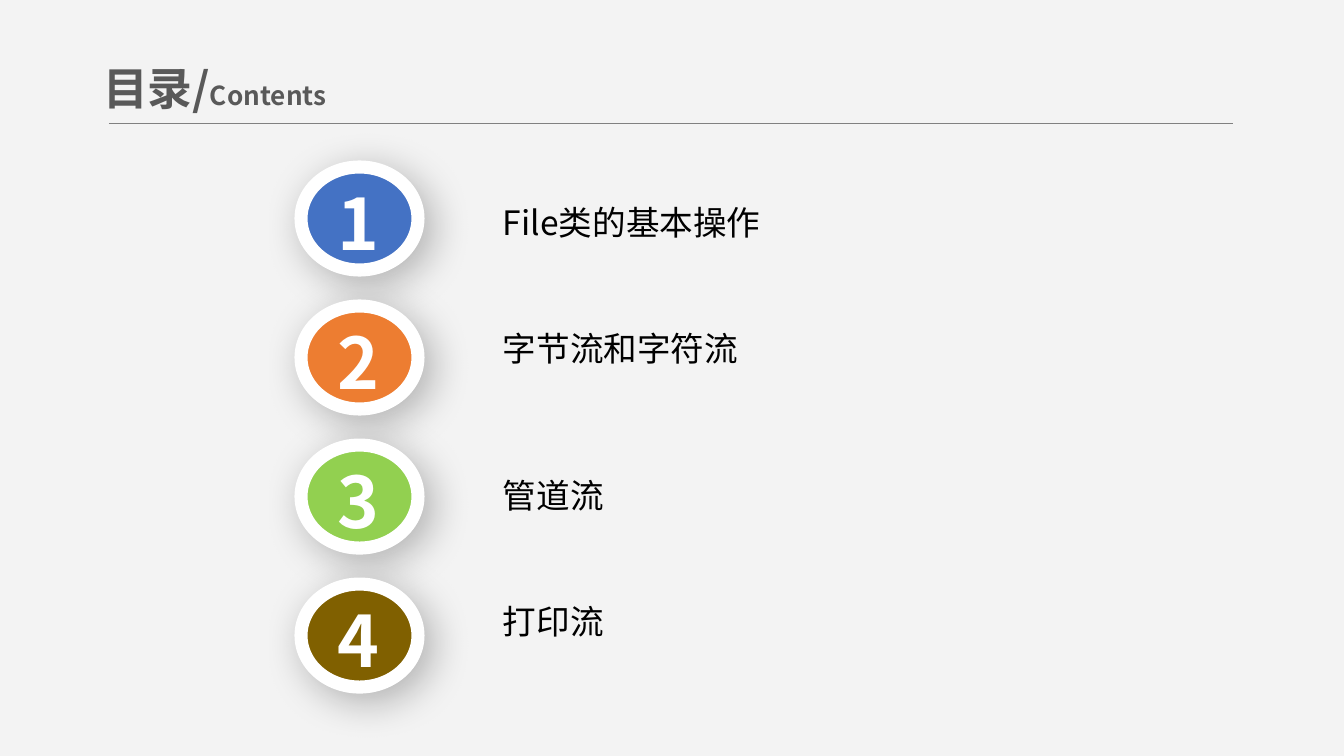
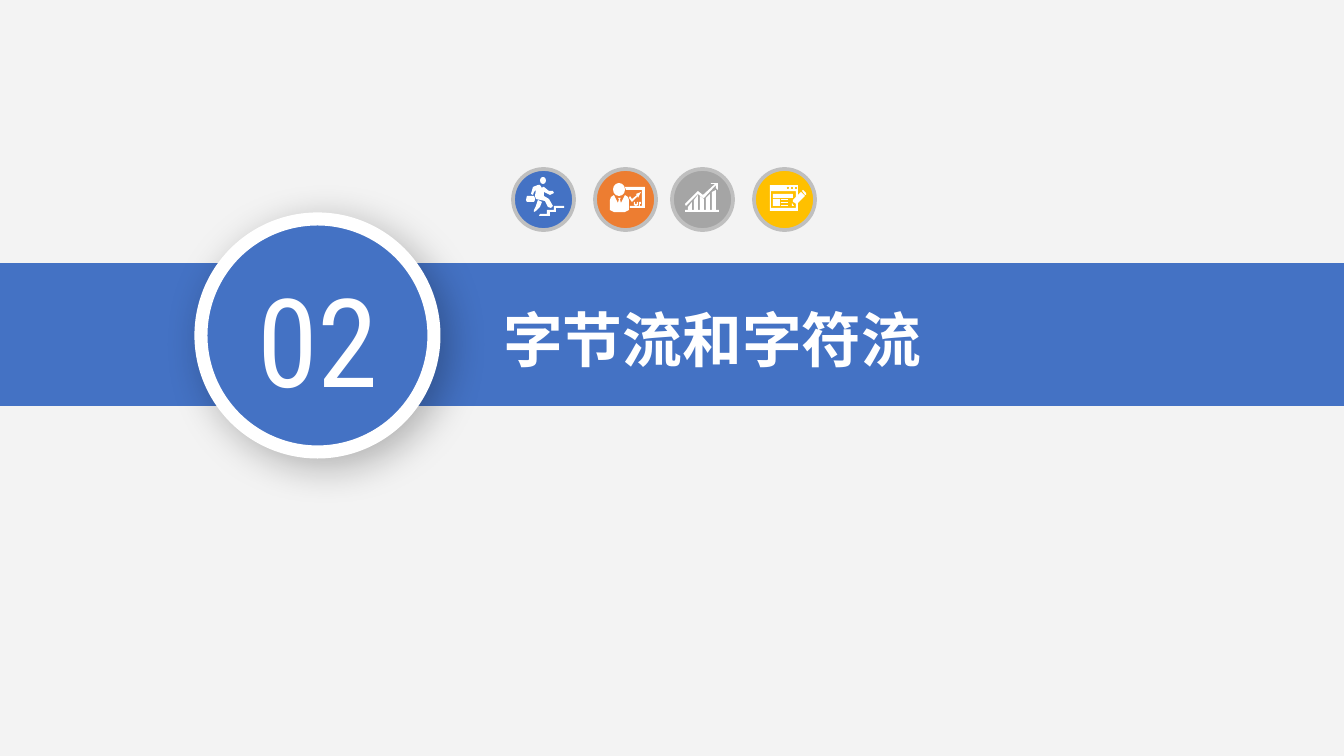
import pptx
import pptx.util
import pptx.dml.color
import pptx.enum.shapes
import pptx.enum.text
import pptx.oxml.ns
from lxml import etree

PX = 6804  # EMU in one px
SANS = "Noto Sans CJK SC"
BLUE, ORANGE, GREEN, BROWN = "4472C4", "ED7D31", "92D050", "806000"
GREY, YELLOW, WHITE, BLACK = "A5A5A5", "FFC000", "FFFFFF", "000000"
RING, TITLE_GREY, RULE_GREY, PAPER = "BFBFBF", "595959", "808080", "F3F3F3"
OVAL = pptx.enum.shapes.MSO_SHAPE.OVAL
RECT = pptx.enum.shapes.MSO_SHAPE.RECTANGLE
LEFT = pptx.enum.text.PP_ALIGN.LEFT
CENTER = pptx.enum.text.PP_ALIGN.CENTER
TOP = pptx.enum.text.MSO_ANCHOR.TOP
MIDDLE = pptx.enum.text.MSO_ANCHOR.MIDDLE
rgb = pptx.dml.color.RGBColor.from_string
qn = pptx.oxml.ns.qn


def paint(sp, fill, line=None, width=0, shadow=False):
    """Fill and outline a shape, with a soft shadow if asked for."""
    sp.fill.solid()
    sp.fill.fore_color.rgb = rgb(fill)
    if line:
        sp.line.color.rgb = rgb(line)
        sp.line.width = pptx.util.Pt(width)
    else:
        sp.line.fill.background()
    sp.shadow.inherit = False
    if shadow:
        effects = sp._element.spPr.find(qn("a:effectLst"))
        outer = etree.SubElement(effects, qn("a:outerShdw"), blurRad="279400",
                                 dist="76200", dir="2700000", algn="tl", rotWithShape="0")
        color = etree.SubElement(outer, qn("a:srgbClr"), val=BLACK)
        etree.SubElement(color, qn("a:alpha"), val="28000")


def write(sp, box, texts, size, color, bold=False, font=SANS, align=LEFT,
          anchor=TOP, inset=(13, 7)):
    """Place a text shape and set its single paragraph."""
    sp.left, sp.top, sp.width, sp.height = [v * PX for v in box]
    tf = sp.text_frame
    tf.word_wrap = True
    tf.auto_size = pptx.enum.text.MSO_AUTO_SIZE.NONE
    tf.vertical_anchor = anchor
    tf.margin_left = tf.margin_right = inset[0] * PX
    tf.margin_top = tf.margin_bottom = inset[1] * PX
    p = tf.paragraphs[0]
    p.alignment = align
    for text in texts:
        p.add_run().text = text
    p.font.size = pptx.util.Pt(size)
    p.font.bold = bold
    p.font.color.rgb = rgb(color)
    p.font.name = font
    etree.SubElement(p.font._element, qn("a:ea"), typeface=font)
    return p


prs = pptx.Presentation()
prs.slide_width, prs.slide_height = 1344 * PX, 756 * PX
paper = prs.slide_master.background.fill
paper.solid()
paper.fore_color.rgb = rgb(PAPER)
title_only = prs.slide_layouts[5]

# Slide 1: contents
s = prs.slides.add_slide(title_only)
p = write(s.shapes.title, (90, 51, 332, 73), ["目录/", "Contents"], 24, TITLE_GREY,
          bold=True, anchor=MIDDLE)
p.runs[1].font.size = pptx.util.Pt(14)

rule = s.shapes.add_connector(pptx.enum.shapes.MSO_CONNECTOR.STRAIGHT,
                              109 * PX, 124 * PX, 1233 * PX, 124 * PX)
rule.line.color.rgb = rgb(RULE_GREY)
rule.line.width = pptx.util.Pt(0.5)
etree.SubElement(rule._element.spPr, qn("a:effectLst"))

# Numbered badges and their chapters
chapters = [
    ("File类的基本操作", BLUE, 195),
    ("字节流和字符流", ORANGE, 321),
    ("管道流", GREEN, 468),
    ("打印流", BROWN, 594),
]
for i, (chapter, color, label_top) in enumerate(chapters):
    top = 167 + 139 * i
    badge = s.shapes.add_shape(OVAL, 301 * PX, top * PX, 117 * PX, 103 * PX)
    paint(badge, color, WHITE, 7, shadow=True)
    write(s.shapes.add_textbox(0, 0, 0, 0), (315, top + 7, 87, 97), [str(i + 1)], 38,
          WHITE, bold=True, align=CENTER, inset=(10, 5))
    write(s.shapes.add_textbox(0, 0, 0, 0), (490, label_top, 364, 54), [chapter], 18, BLACK)

# Slide 2: chapter opening
s = prs.slides.add_slide(title_only)
band = s.shapes.add_shape(RECT, 0, 263 * PX, 1344 * PX, 143 * PX)
paint(band, BLUE)
title = s.shapes.title
write(title, (490, 296, 530, 86), ["字节流和字符流"], 32, WHITE, bold=True)
band._element.addnext(title._element)

# Icon discs
for left, color in [(513, BLUE), (595, ORANGE), (672, GREY), (754, YELLOW)]:
    disc = s.shapes.add_shape(OVAL, left * PX, 169 * PX, 61 * PX, 61 * PX)
    paint(disc, color, RING, 2)

# Icon outlines, each a list of contours
stairs = [[(540, 214), (547, 214), (547, 210), (554, 210), (554, 206), (564, 206),
           (564, 208), (556, 208), (556, 212), (550, 212), (550, 216), (539, 216)]]
runner = [
    [(527, 202), (534, 202), (535, 200), (535, 198), (534, 196), (527, 196), (526, 200)],
    [(534, 210), (536, 206), (538, 200), (542, 202), (540, 207), (536, 211), (534, 212)],
    [(543, 187), (544, 187), (549, 191), (553, 191), (554, 193), (550, 195), (544, 192),
     (544, 196), (549, 199), (553, 206), (551, 208), (548, 207), (545, 201), (536, 199),
     (535, 196), (536, 190), (534, 192), (533, 195), (531, 194), (533, 187), (538, 185),
     (540, 185), (542, 188)],
]
board = [[(625, 187), (645, 187), (645, 208), (630, 208), (630, 206), (642, 206),
          (642, 190), (626, 190)]]
board_arrow = [[(630, 196), (629, 198), (632, 202), (638, 196), (638, 198), (641, 192),
                (636, 194), (637, 195), (632, 199)]]
speaker = [[(625, 195), (621, 203), (620, 199), (621, 198), (618, 198), (619, 199),
            (618, 203), (614, 195), (611, 197), (610, 200), (610, 210), (614, 212),
            (625, 212), (629, 210), (629, 200), (628, 197)]]
board_marks = [
    [(634, 202), (634, 205), (636, 206), (638, 205), (638, 202), (637, 202), (637, 204),
     (635, 204), (635, 202)],
    [(639, 202), (639, 206), (640, 206), (640, 204), (641, 204), (641, 202)],
]
trend = [[(686, 206), (698, 194), (703, 198), (704, 198), (716, 185), (716, 188),
          (718, 190), (718, 183), (711, 183), (711, 184), (715, 184), (703, 195),
          (698, 191), (685, 204)]]
bar_tops = [(207, 202), (200, 195), (196, 199), (198, 194), (192, 190)]
bars = [[(688 + 6 * i, 210), (692 + 6 * i, 210), (692 + 6 * i, right), (688 + 6 * i, left)]
        for i, (left, right) in enumerate(bar_tops)]
window = [
    [(770, 185), (798, 185), (798, 211), (770, 211)],
    [(771, 191), (771, 208), (796, 208), (796, 191)],
]
pencil = [
    [(792, 203), (792, 206), (794, 206)],
    [(802, 191), (803, 190), (806, 193), (806, 195), (805, 195)],
    [(801, 192), (793, 200), (793, 202), (795, 203), (796, 204), (797, 204), (805, 196)],
]
for contours in [stairs, runner, board, board_arrow, speaker, board_marks, trend, bars,
                 window, pencil]:
    fb = s.shapes.build_freeform(*contours[0][0], scale=PX)
    fb.add_line_segments(contours[0][1:], close=True)
    for points in contours[1:]:
        fb.move_to(*points[0])
        fb.add_line_segments(points[1:], close=True)
    paint(fb.convert_to_shape(), WHITE)

# Heads, chart axis, window lines and window buttons
parts = [(OVAL, (540, 177, 6, 7), WHITE), (OVAL, (613, 183, 12, 13), WHITE),
         (RECT, (685, 210, 34, 2), WHITE),
         (RECT, (773, 194, 20, 4), WHITE), (RECT, (773, 199, 7, 7), WHITE)]
parts += [(RECT, (781, top, 7, 1), WHITE) for top in (199, 202, 205)]
parts += [(OVAL, (left, 187, 2, 2), YELLOW) for left in (787, 791, 795)]
for kind, box, color in parts:
    paint(s.shapes.add_shape(kind, *[v * PX for v in box]), color)

# Chapter number
badge = s.shapes.add_shape(OVAL, 201 * PX, 219 * PX, 233 * PX, 233 * PX)
paint(badge, BLUE, WHITE, 7, shadow=True)
write(s.shapes.add_textbox(0, 0, 0, 0), (230, 259, 176, 160), ["02"], 66, WHITE,
      font="Roboto Condensed", align=CENTER, inset=(10, 5))

prs.save("out.pptx")
